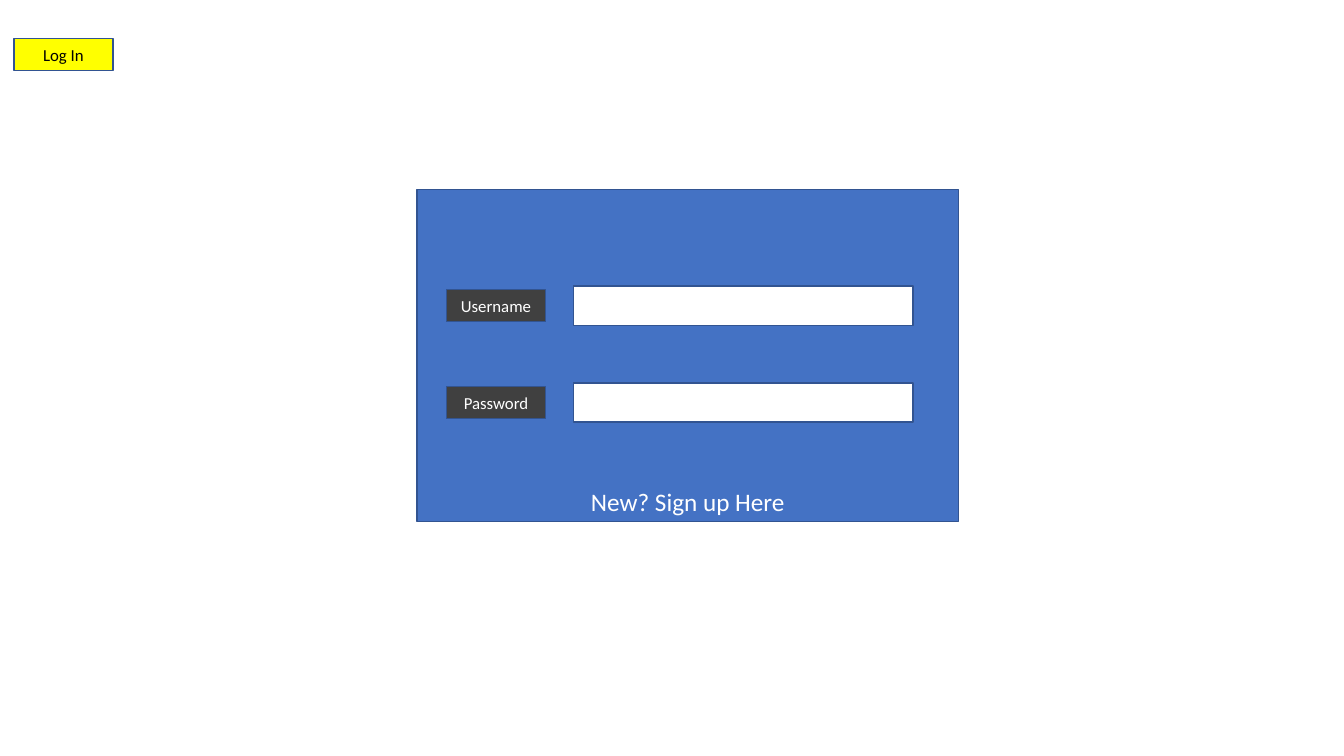
"""Build a login form slide with username and password fields."""
import pptx
import pptx.dml.color
import pptx.enum.shapes
import pptx.enum.text
import pptx.util

Pt = pptx.util.Pt
RGBColor = pptx.dml.color.RGBColor
ANCHOR = pptx.enum.text.MSO_ANCHOR

BLUE = RGBColor(0x44, 0x72, 0xC4)
OUTLINE = RGBColor(0x32, 0x54, 0x91)
GRAY = RGBColor(0x40, 0x40, 0x40)
YELLOW = RGBColor(0xFF, 0xFF, 0x00)
WHITE = RGBColor(0xFF, 0xFF, 0xFF)
BLACK = RGBColor(0x00, 0x00, 0x00)

LABEL_SIZE = (70.6, 23)
FIELD_SIZE = (242.6, 28)
FIRST_ROW = 218.4
ROW_PITCH = 69.2


class Form:
    """Hold the style and the current slide."""

    font = "Calibri"
    line_width = 1

    def __init__(self, slide):
        self.slide = slide

    def box(self, x, y, w, h, fill):
        sp = self.slide.shapes.add_shape(
            pptx.enum.shapes.MSO_SHAPE.RECTANGLE, Pt(x), Pt(y), Pt(w), Pt(h))
        sp.shadow.inherit = False
        sp.fill.solid()
        sp.fill.fore_color.rgb = fill
        sp.line.color.rgb = OUTLINE
        sp.line.width = Pt(self.line_width)
        return sp

    def text(self, sp, text, size=12, color=WHITE, anchor=ANCHOR.MIDDLE):
        tf = sp.text_frame
        for name, value in {"word_wrap": True, "vertical_anchor": anchor}.items():
            setattr(tf, name, value)
        p = tf.paragraphs[0]
        p.alignment = pptx.enum.text.PP_ALIGN.CENTER
        r = p.add_run()
        r.text = text
        for name, value in {"name": self.font, "size": Pt(size)}.items():
            setattr(r.font, name, value)
        r.font.color.rgb = color

    def panel(self, x, y, w, h, text):
        sp = self.box(x, y, w, h, BLUE)
        self.text(sp, text, size=18, anchor=ANCHOR.BOTTOM)

    def label(self, x, y, text, fill=GRAY, color=WHITE):
        self.text(self.box(x, y, *LABEL_SIZE, fill), text, color=color)

    def row(self, middle, text):
        self.box(409.7, middle - FIELD_SIZE[1] / 2, *FIELD_SIZE, WHITE)
        self.label(319, middle - LABEL_SIZE[1] / 2, text)


prs = pptx.Presentation()
prs.slide_width, prs.slide_height = Pt(960), Pt(540)
s = prs.slides.add_slide(prs.slide_layouts[6])
form = Form(s)

form.panel(298, 135.4, 386.6, 237, "New? Sign up Here")
for i, name in enumerate(["Username", "Password"]):
    form.row(FIRST_ROW + i * ROW_PITCH, name)
form.label(10, 27.4, "Log In", fill=YELLOW, color=BLACK)

prs.save("out.pptx")
